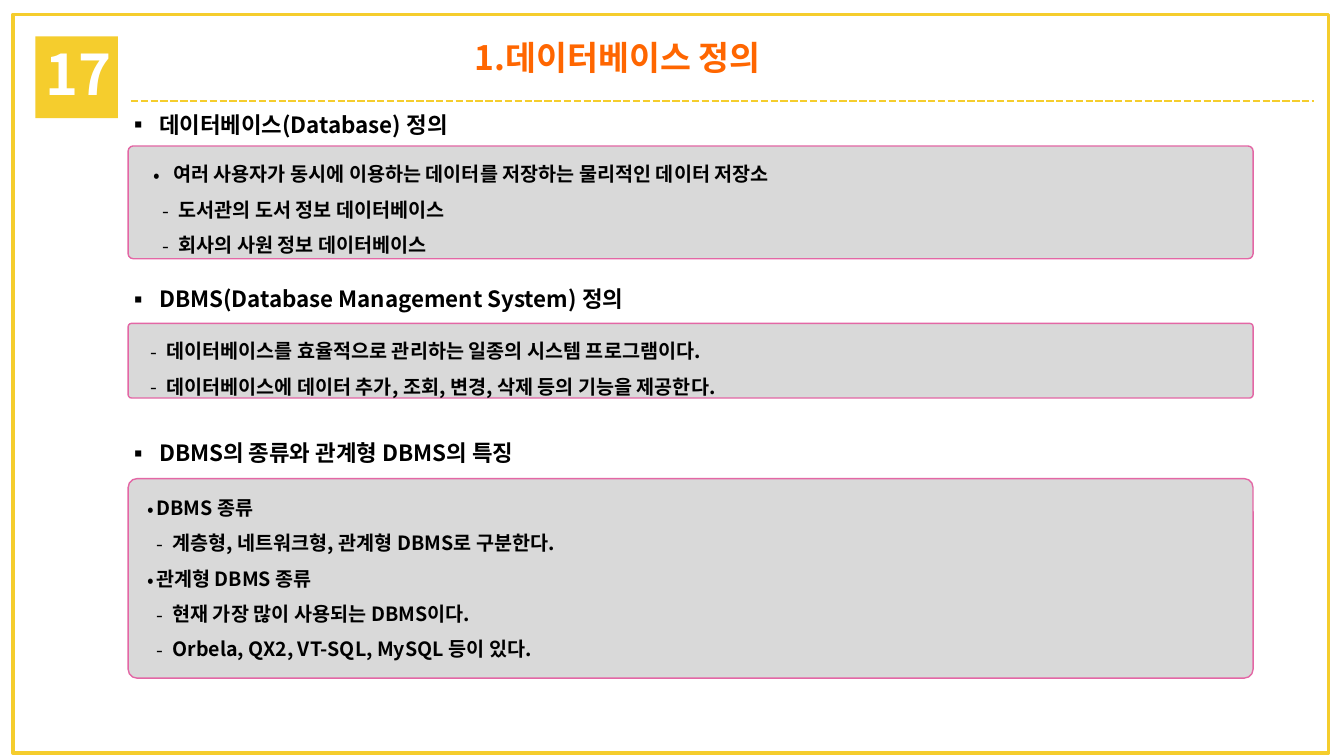
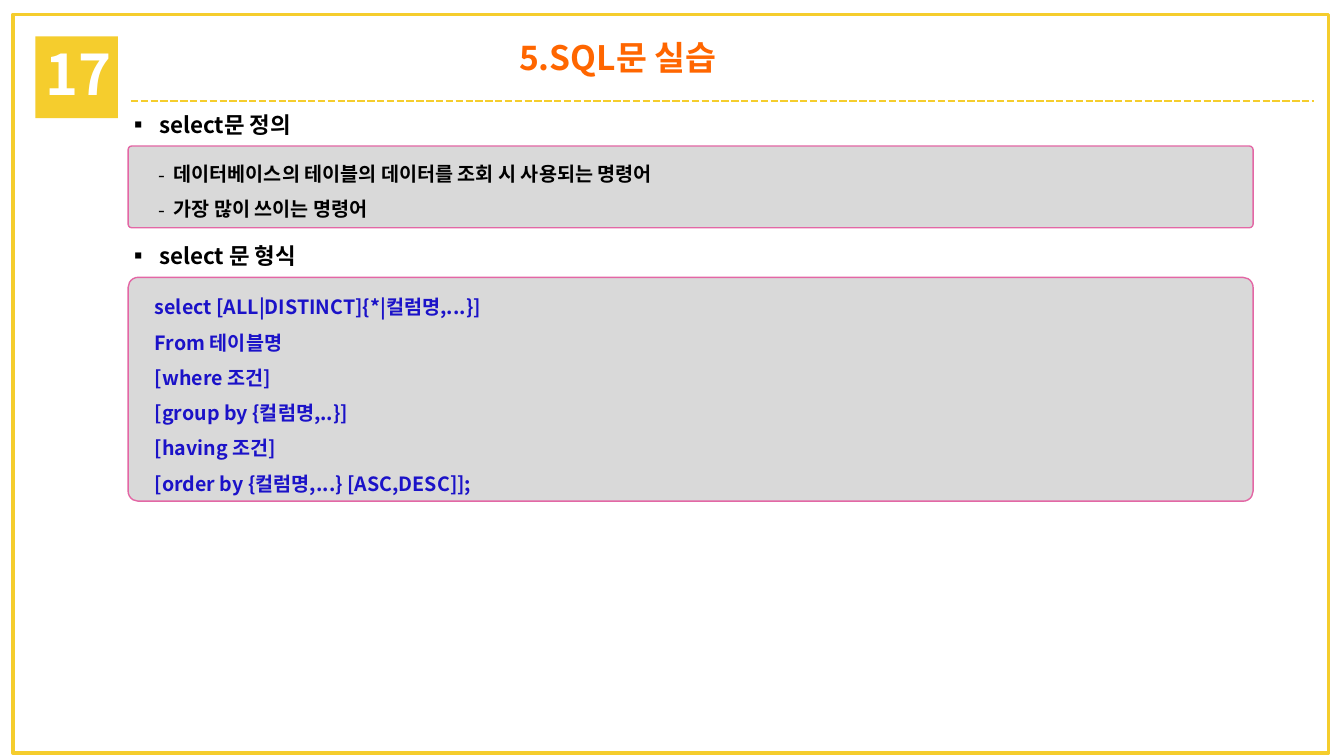
from lxml import etree
from pptx import Presentation
from pptx.dml.color import RGBColor
from pptx.enum.dml import MSO_LINE
from pptx.enum.shapes import MSO_CONNECTOR, MSO_SHAPE
from pptx.enum.text import MSO_ANCHOR, MSO_AUTO_SIZE, PP_ALIGN
from pptx.oxml.ns import qn
from pptx.util import Cm, Pt

FONT = "Noto Sans CJK KR"
YELLOW = RGBColor(0xF5, 0xCD, 0x2D)
ORANGE = RGBColor(0xFF, 0x66, 0x00)
PINK = RGBColor(0xE3, 0x67, 0xA5)
GRAY = RGBColor(0xD9, 0xD9, 0xD9)
BLUE = RGBColor(0x1B, 0x12, 0xC8)
BLACK = RGBColor(0, 0, 0)
WHITE = RGBColor(0xFF, 0xFF, 0xFF)

CHAPTER = "17"
HEADING_LEFT, HEADING_WIDTH = 2.97, 16.5
BOX_LEFT, BOX_WIDTH = 3.23, 28.35

# Text styles: bullet, bullet position and text position (cm), colour
DOT = ("•", 0.6, 1.1, BLACK)
DOT_DASH = ("-", 0.84, 1.23, BLACK)
DASH = ("-", 0.55, 0.94, BLACK)
TIGHT_DOT = ("•", 0.43, 0.64, BLACK)
TIGHT_DASH = ("-", 0.66, 1.05, BLACK)
WIDE_DASH = ("-", 0.73, 1.12, BLACK)
CODE = (None, 0.6, 0.6, BLUE)

# Slide: title, sections; section: heading, heading top, box top, box height, lines
SLIDES = [
    ("1.데이터베이스 정의", [
        ("데이터베이스(Database) 정의", 2.67, 3.68, 2.84, [
            (DOT, "여러 사용자가 동시에 이용하는 데이터를 저장하는 물리적인 데이터 저장소"),
            (DOT_DASH, "도서관의 도서 정보 데이터베이스"),
            (DOT_DASH, "회사의 사원 정보 데이터베이스"),
        ]),
        ("DBMS(Database Management System) 정의", 7.06, 8.15, 1.88, [
            (DASH, "데이터베이스를 효율적으로 관리하는 일종의 시스템 프로그램이다."),
            (DASH, "데이터베이스에 데이터 추가, 조회, 변경, 삭제 등의 기능을 제공한다."),
        ]),
        ("DBMS의 종류와 관계형 DBMS의 특징", 10.95, 12.06, 5.03, [
            (TIGHT_DOT, "DBMS 종류"),
            (TIGHT_DASH, "계층형, 네트워크형, 관계형 DBMS로 구분한다."),
            (TIGHT_DOT, "관계형 DBMS 종류"),
            (TIGHT_DASH, "현재 가장 많이 사용되는 DBMS이다."),
            (TIGHT_DASH, "Orbela, QX2, VT-SQL, MySQL 등이 있다."),
        ]),
    ]),
    ("5.SQL문 실습", [
        ("select문 정의", 2.67, 3.68, 2.06, [
            (WIDE_DASH, "데이터베이스의 테이블의 데이터를 조회 시 사용되는 명령어"),
            (WIDE_DASH, "가장 많이 쓰이는 명령어"),
        ]),
        ("select 문 형식", 5.97, 6.99, 5.64, [
            (CODE, "select [ALL|DISTINCT]{*|컬럼명,...}]"),
            (CODE, "From 테이블명"),
            (CODE, "[where 조건]"),
            (CODE, "[group by {컬럼명,..}]"),
            (CODE, "[having 조건]"),
            (CODE, "[order by {컬럼명,...} [ASC,DESC]];"),
        ]),
    ]),
]


def add_run(p, text, size, color):
    r = p.add_run()
    r.text = text
    r.font.size, r.font.bold = Pt(size), True
    r.font.color.rgb = color
    r.font.name = FONT
    etree.SubElement(r.font._element, qn("a:ea"), typeface=FONT)


def set_bullet(p, char, bullet_at, text_at):
    pPr = p._p.get_or_add_pPr()
    pPr.set("marL", str(Cm(text_at)))
    pPr.set("indent", str(Cm(bullet_at) - Cm(text_at)))
    if char:
        etree.SubElement(pPr, qn("a:buFont"), typeface=FONT)
        etree.SubElement(pPr, qn("a:buChar"), char=char)
    else:
        etree.SubElement(pPr, qn("a:buNone"))


def add_box(s, kind, left, top, width, height, fill=None, line=None, weight=1):
    sp = s.shapes.add_shape(kind, Cm(left), Cm(top), Cm(width), Cm(height))
    sp.shadow.inherit = False
    for part, color in ((sp.fill, fill), (sp.line.fill, line)):
        if color is None:
            part.background()
        else:
            part.solid()
            part.fore_color.rgb = color
    if line is not None:
        sp.line.width = Pt(weight)
    return sp


def add_frame(s):
    """Border, chapter badge and dashed rule of every slide."""
    add_box(s, MSO_SHAPE.RECTANGLE, 0.33, 0.36, 33.15, 18.62, line=YELLOW, weight=2.5)
    badge = add_box(s, MSO_SHAPE.RECTANGLE, 0.89, 0.92, 2.08, 2.06, fill=YELLOW)
    tf = badge.text_frame
    tf.word_wrap = False
    tf.margin_right = tf.margin_top = 0
    tf.margin_bottom = Cm(0.2)
    p = tf.paragraphs[0]
    p.alignment = PP_ALIGN.LEFT
    add_run(p, CHAPTER, 40, WHITE)

    rule = s.shapes.add_connector(MSO_CONNECTOR.STRAIGHT, Cm(3.3), Cm(2.54), Cm(33.12), Cm(2.54))
    rule.line.color.rgb = YELLOW
    rule.line.width = Pt(1.75)
    rule.line.dash_style = MSO_LINE.SQUARE_DOT
    etree.SubElement(rule._element.spPr, qn("a:effectLst"))


def set_title(s, text):
    title = s.shapes.title
    title.left, title.top, title.width, title.height = Cm(3.63), Cm(0.81), Cm(23.88), Cm(1.27)
    tf = title.text_frame
    tf.auto_size = MSO_AUTO_SIZE.NONE
    tf.vertical_anchor = MSO_ANCHOR.TOP
    p = tf.paragraphs[0]
    p.alignment = PP_ALIGN.CENTER
    add_run(p, text, 24, ORANGE)


def add_section(s, heading, heading_top, box_top, box_height, lines):
    tb = s.shapes.add_textbox(Cm(HEADING_LEFT), Cm(heading_top), Cm(HEADING_WIDTH), Cm(0.94))
    tb.text_frame.word_wrap = True
    p = tb.text_frame.paragraphs[0]
    set_bullet(p, "▪", 0, 0.79)
    add_run(p, heading, 16, BLACK)

    box = add_box(s, MSO_SHAPE.ROUNDED_RECTANGLE, BOX_LEFT, box_top, BOX_WIDTH, box_height,
                  fill=GRAY, line=PINK)
    box.adjustments[0] = 0.045
    tf = box.text_frame
    tf.word_wrap = True
    tf.vertical_anchor = MSO_ANCHOR.TOP
    tf.margin_left = tf.margin_right = tf.margin_bottom = 0
    tf.margin_top = Cm(0.08)
    for i, ((char, bullet_at, text_at, color), text) in enumerate(lines):
        p = tf.add_paragraph() if i else tf.paragraphs[0]
        p.alignment = PP_ALIGN.LEFT
        p.line_spacing = 1.5
        set_bullet(p, char, bullet_at, text_at)
        add_run(p, text, 14, color)


def main():
    prs = Presentation()
    prs.slide_width, prs.slide_height = Cm(33.87), Cm(19.05)
    for title, sections in SLIDES:
        s = prs.slides.add_slide(prs.slide_layouts[5])
        add_frame(s)
        set_title(s, title)
        for section in sections:
            add_section(s, *section)
    prs.save("out.pptx")


if __name__ == "__main__":
    main()
